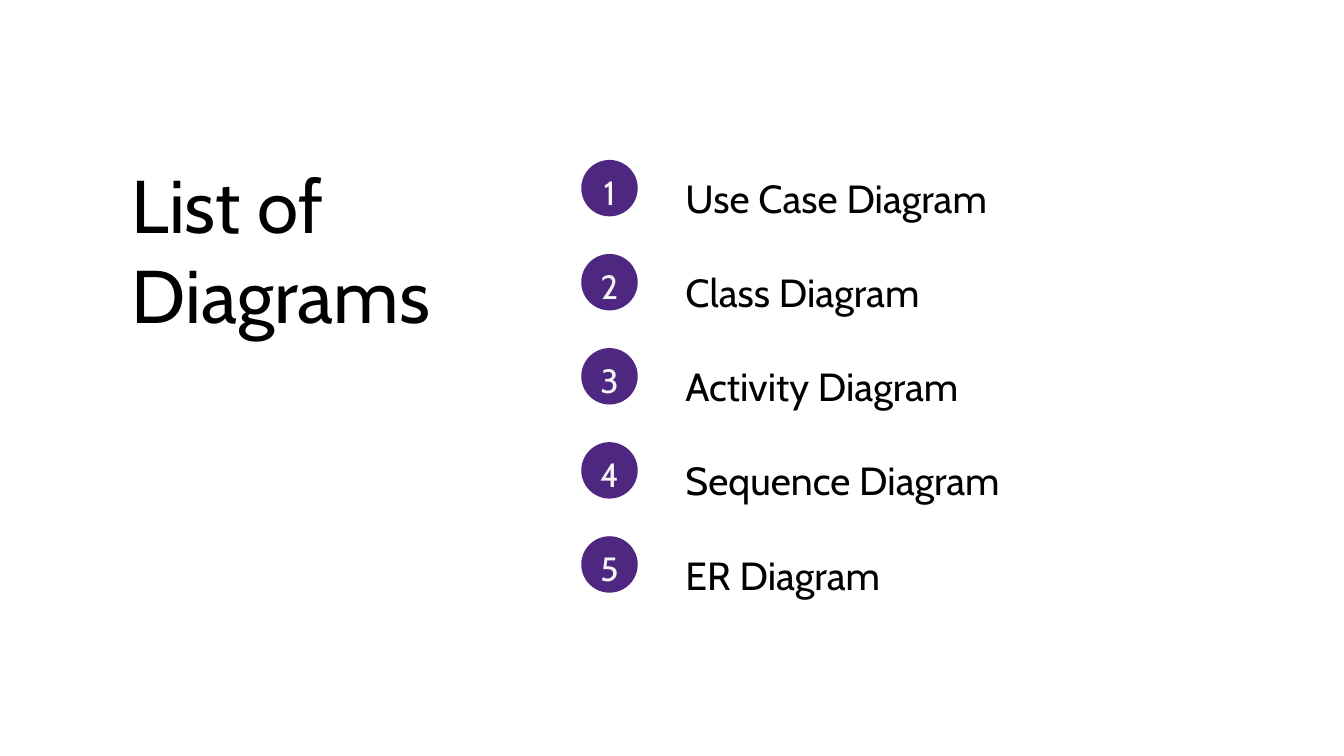
import pptx
import pptx.dml.color
import pptx.enum.shapes
import pptx.enum.text
import pptx.util

Inches = pptx.util.Inches
Pt = pptx.util.Pt
Align = pptx.enum.text.PP_ALIGN

PURPLE = pptx.dml.color.RGBColor(0x4E, 0x27, 0x80)
BLACK = pptx.dml.color.RGBColor(0x00, 0x00, 0x00)
PALE = pptx.dml.color.RGBColor(0xF4, 0xF4, 0xF4)

DIAGRAMS = [
    "Use Case Diagram",
    "Class Diagram",
    "Activity Diagram",
    "Sequence Diagram",
    "ER Diagram",
]
ROW_TOP = 2.13
ROW_STEP = 1.4


class SlideBuilder:
    """Draws the slide's elements in one shared style."""

    font_name = "Cabin"

    def __init__(self, slide):
        self.slide = slide

    def text(self, text, left, top, width, height, size, spacing,
             color=BLACK, align=Align.LEFT):
        shape = self.slide.shapes.add_textbox(
            Inches(left), Inches(top), Inches(width), Inches(height))
        frame = shape.text_frame
        frame.word_wrap = True
        frame.margin_left = frame.margin_right = 0
        frame.margin_top = frame.margin_bottom = 0
        paragraph = frame.paragraphs[0]
        paragraph.text = text
        paragraph.alignment = align
        paragraph.line_spacing = Pt(spacing)
        paragraph.font.name = self.font_name
        paragraph.font.size = Pt(size)
        paragraph.font.color.rgb = color

    def circle(self, left, top, diameter):
        shape = self.slide.shapes.add_shape(
            pptx.enum.shapes.MSO_SHAPE.OVAL, Inches(left), Inches(top),
            Inches(diameter), Inches(diameter))
        shape.shadow.inherit = False
        shape.fill.solid()
        shape.fill.fore_color.rgb = PURPLE
        shape.line.fill.background()

    def list_item(self, number, label, top):
        self.text(label, 10.2, top, 8.01, 1.05, 42, 84)
        self.circle(8.65, top + 0.25, 0.84)
        self.text(str(number), 8.77, top + 0.24, 0.6, 0.73, 36, 56.5,
                  PALE, Align.CENTER)


def main():
    presentation = pptx.Presentation()
    presentation.slide_width = Inches(20)
    presentation.slide_height = Inches(11.25)
    builder = SlideBuilder(
        presentation.slides.add_slide(presentation.slide_layouts[6]))
    for index, label in enumerate(DIAGRAMS):
        builder.list_item(index + 1, label, ROW_TOP + index * ROW_STEP)
    builder.text("List of Diagrams", 1.96, 2.37, 5.2, 2.68, 80, 96)
    presentation.save("out.pptx")


if __name__ == "__main__":
    main()
